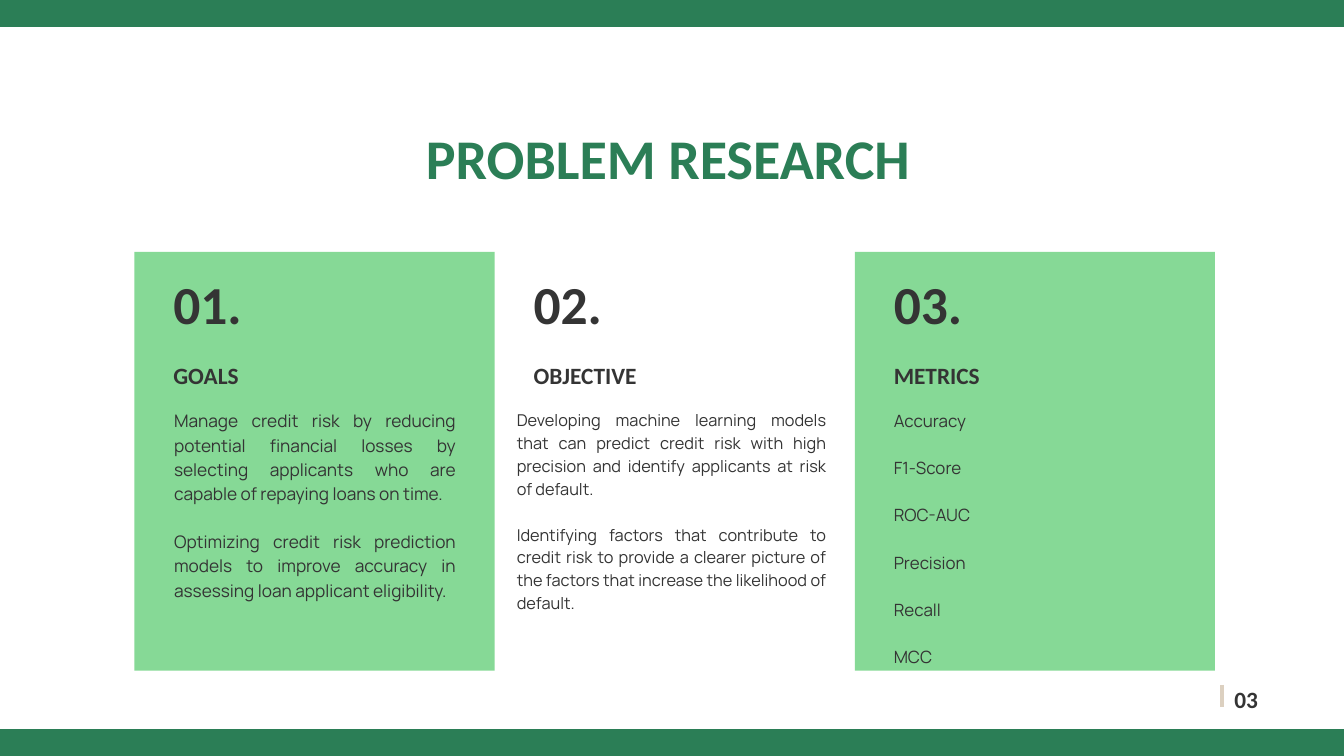
from dataclasses import dataclass

import pptx
import pptx.dml.color
import pptx.enum.shapes
import pptx.enum.text
import pptx.oxml
import pptx.oxml.ns
import pptx.util
from pptx.util import Inches

GREEN = "2B7E56"
LIGHT_GREEN = "86D996"
INK = "343434"
SAND = "DCD0C0"
ALIGN = pptx.enum.text.PP_ALIGN


@dataclass
class Column:
    number: str
    heading: str
    paragraphs: list[str]
    body_left: float
    body_width: float
    size: float
    leading: float
    filled: bool


COLUMNS = [
    Column("01.", "GOALS", [
        "Manage credit risk by reducing potential financial losses by selecting "
        "applicants who are capable of repaying loans on time.",
        "Optimizing credit risk prediction models to improve accuracy in "
        "assessing loan applicant eligibility.",
    ], 2.59, 4.19, 18.5, 25.9, True),
    Column("02.", "OBJECTIVE", [
        "Developing machine learning models that can predict credit risk with "
        "high precision and identify applicants at risk of default.",
        "Identifying factors that contribute to credit risk to provide a clearer "
        "picture of the factors that increase the likelihood of default.",
    ], 7.69, 4.61, 17.5, 24.5, False),
    Column("03.", "METRICS", [
        "Accuracy", "F1-Score", "ROC-AUC", "Precision", "Recall", "MCC",
    ], 13.3, 3.79, 18.1, 25.3, True),
]
COLUMN_LEFT = 2
COLUMN_WIDTH = 5.36
COLUMN_INDENT = 0.58


def color(hex_code: str) -> pptx.dml.color.RGBColor:
    return pptx.dml.color.RGBColor.from_string(hex_code)


def add_block(slide, left: float, top: float, width: float, height: float, fill: str) -> None:
    block = slide.shapes.add_shape(
        pptx.enum.shapes.MSO_SHAPE.RECTANGLE,
        Inches(left), Inches(top), Inches(width), Inches(height))
    block.shadow.inherit = False
    block.fill.solid()
    block.fill.fore_color.rgb = color(fill)
    block.line.fill.background()


def add_text(slide, paragraphs: list[str], left: float, top: float, width: float,
             height: float, *, size: float, leading: float, font: str = "Calibri",
             ink: str = INK, bold: bool = True, align=ALIGN.LEFT, gap: float = 0) -> None:
    box = slide.shapes.add_textbox(Inches(left), Inches(top), Inches(width), Inches(height))
    frame = box.text_frame
    frame.word_wrap = True
    frame.margin_left = frame.margin_right = frame.margin_top = frame.margin_bottom = 0
    for index, text in enumerate(paragraphs):
        paragraph = frame.add_paragraph() if index else frame.paragraphs[0]
        paragraph.alignment = align
        paragraph.line_spacing = pptx.util.Pt(leading)
        if index:
            paragraph.space_before = pptx.util.Pt(gap)
        run = paragraph.add_run()
        run.text = text
        run.font.name = font
        run.font.size = pptx.util.Pt(size)
        run.font.bold = bold
        run.font.color.rgb = color(ink)


def add_line(slide, x1: float, y1: float, x2: float, y2: float, ink: str, weight: float) -> None:
    line = slide.shapes.add_connector(
        pptx.enum.shapes.MSO_CONNECTOR.STRAIGHT,
        Inches(x1), Inches(y1), Inches(x2), Inches(y2))
    line.line.color.rgb = color(ink)
    line.line.width = pptx.util.Pt(weight)
    properties = line._element.find(pptx.oxml.ns.qn("p:spPr"))
    properties.append(pptx.oxml.parse_xml(
        f"<a:effectLst {pptx.oxml.ns.nsdecls('a')}/>"))


def add_column(slide, column: Column, left: float) -> None:
    text_left = left + COLUMN_INDENT
    if column.filled:
        add_block(slide, left, 3.75, COLUMN_WIDTH, 6.23, LIGHT_GREEN)
    add_text(slide, [column.number], text_left, 3.88, 2.05, 1.11, size=57.3, leading=80.3)
    add_text(slide, [column.heading], text_left, 5.45, 4.21, 0.38,
             size=25, leading=25, align=ALIGN.JUSTIFY)
    # Paragraphs stand one line apart
    add_text(slide, column.paragraphs, column.body_left, 6.06, column.body_width, 3.93,
             size=column.size, leading=column.leading, font="Manrope", bold=False,
             align=ALIGN.JUSTIFY, gap=column.leading)


def main() -> None:
    presentation = pptx.Presentation()
    presentation.slide_width = Inches(20)
    presentation.slide_height = Inches(11.25)
    slide = presentation.slides.add_slide(presentation.slide_layouts[6])

    # Bars bleeding over the bottom and top edges
    add_block(slide, -0.85, 10.85, 21.53, 0.88, GREEN)
    add_block(slide, -0.76, -0.65, 21.53, 1.05, GREEN)

    # Title
    add_text(slide, ["PROBLEM RESEARCH"], 2.79, 1.91, 14.3, 0.98,
             size=60, leading=66.6, ink=GREEN, align=ALIGN.CENTER)

    # Three columns
    for index, column in enumerate(COLUMNS):
        add_column(slide, column, COLUMN_LEFT + index * COLUMN_WIDTH)

    # Page number
    add_text(slide, ["03"], 18.22, 10.12, 0.65, 0.46,
             size=25, leading=35, align=ALIGN.CENTER)
    add_line(slide, 18.18, 10.19, 18.18, 10.52, SAND, 4)

    presentation.save("out.pptx")


if __name__ == "__main__":
    main()
